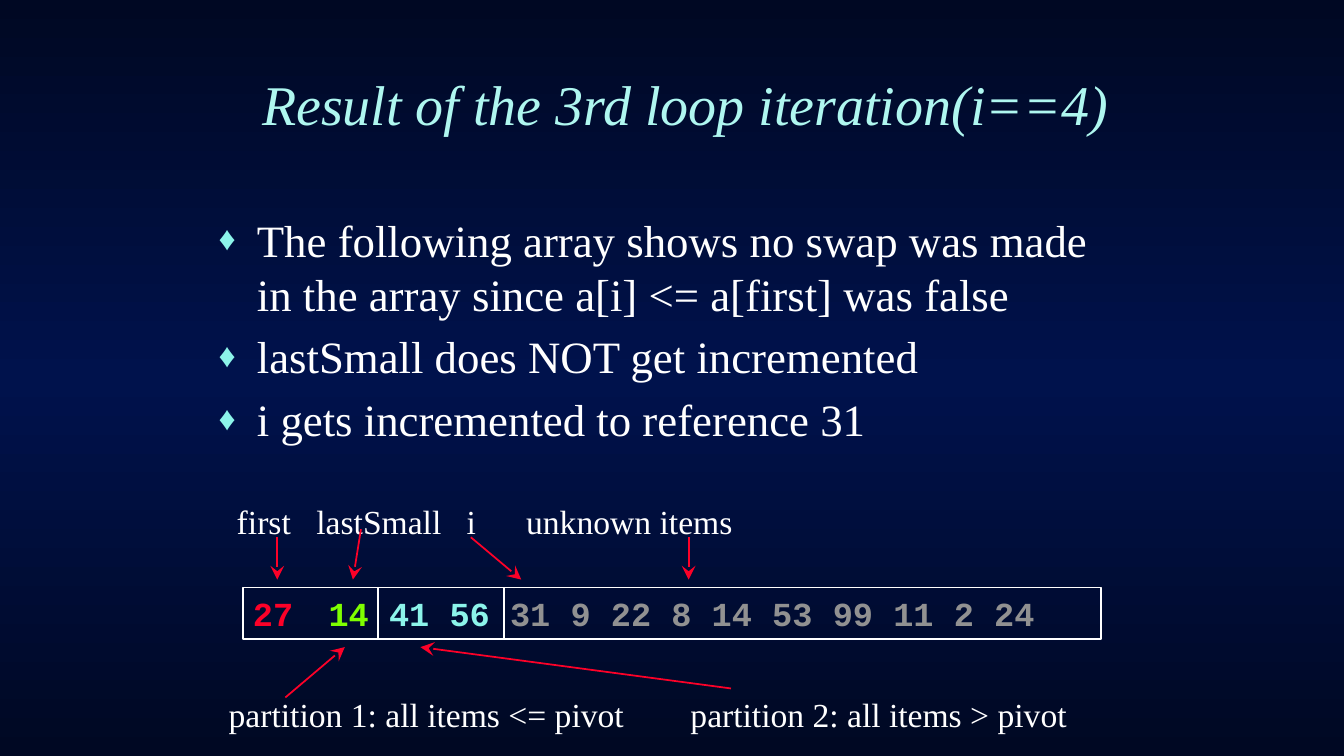
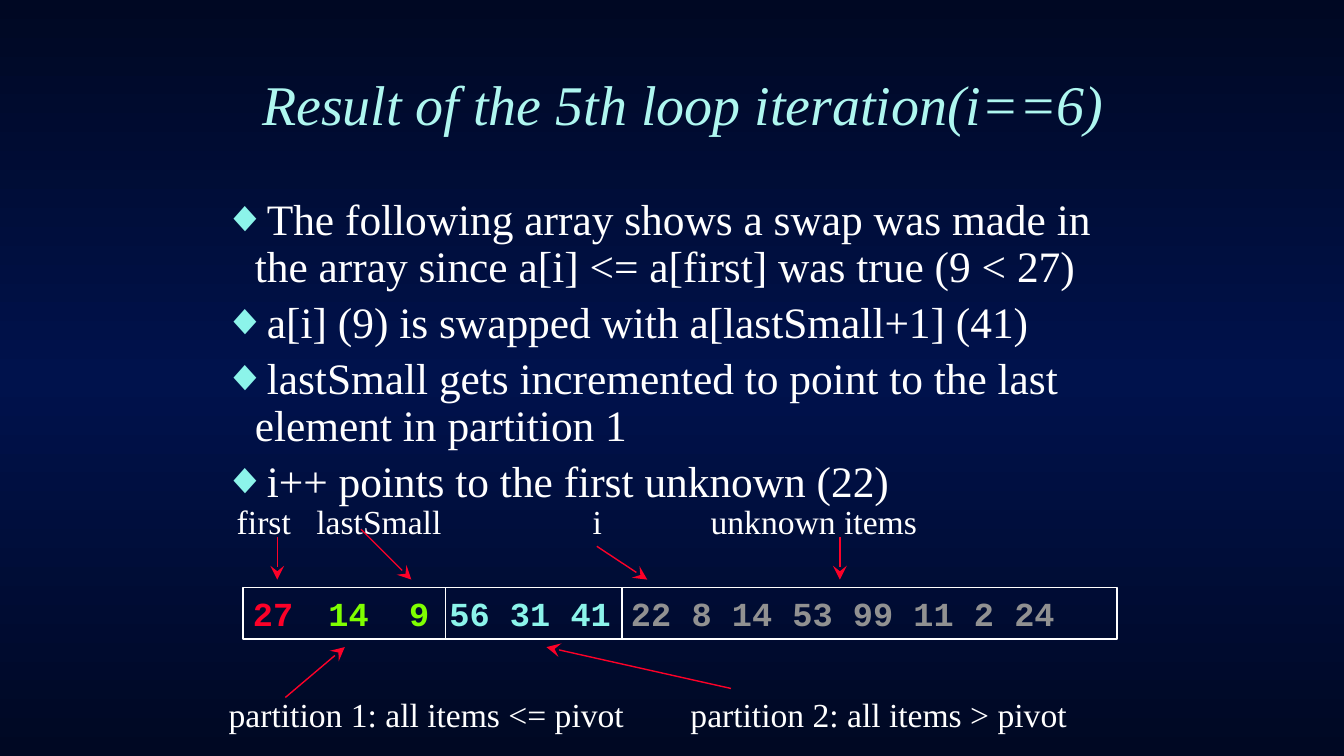
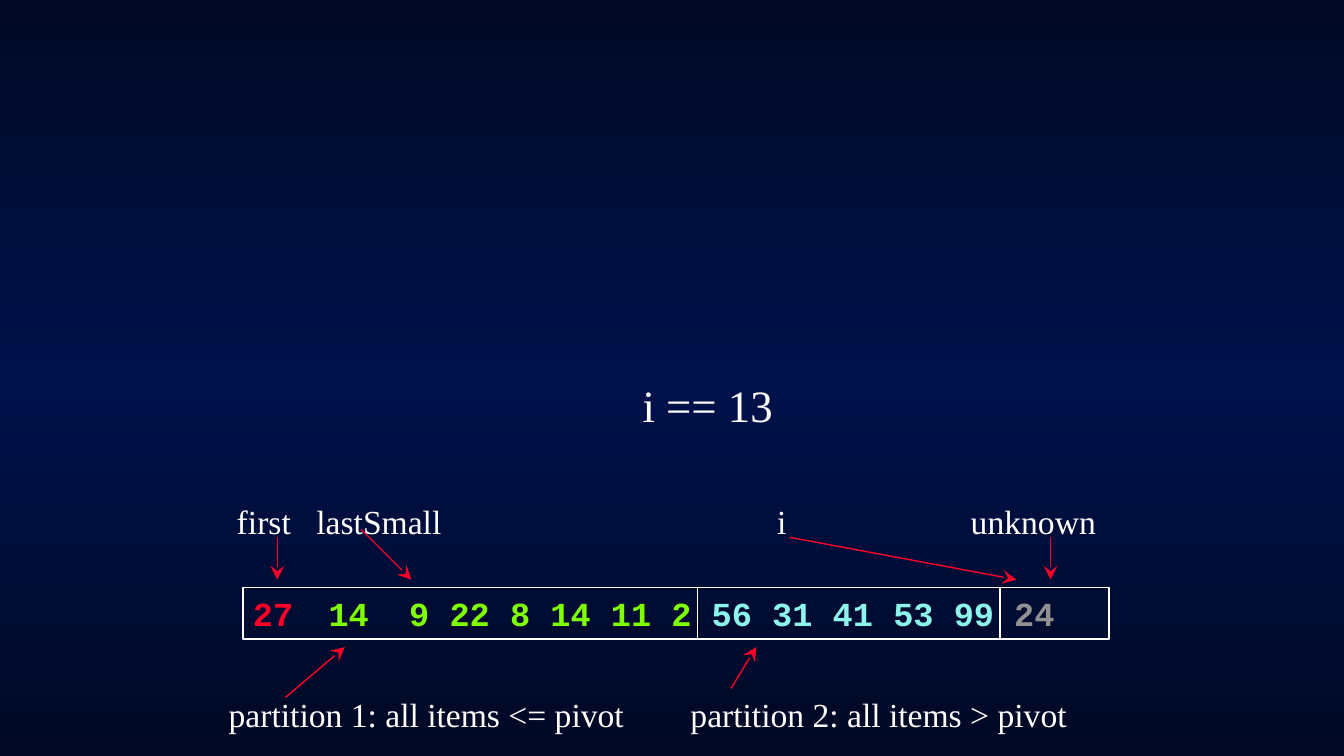
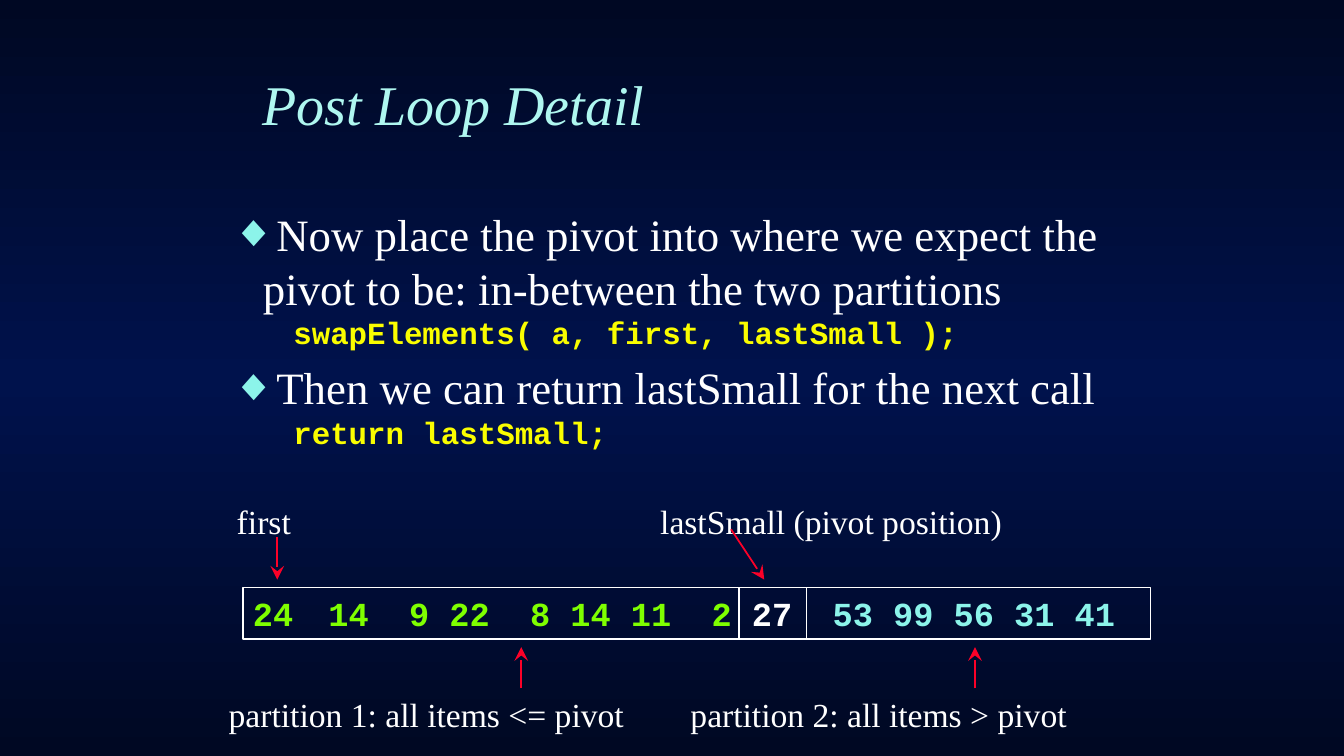
import copy

import pptx
import pptx.dml.color
import pptx.enum.shapes
import pptx.enum.text
import pptx.oxml
import pptx.oxml.ns
import pptx.util

Inches = pptx.util.Inches
Pt = pptx.util.Pt
qn = pptx.oxml.ns.qn

SERIF = "Times New Roman"
MONO = "Courier New"
WHITE = "FFFFFF"
RED = "FC0128"
GREEN = "7FFF00"
AQUA = "8CF4EA"
GRAY = "919191"
YELLOW = "FAFD00"
TITLE_COLOR = "AFF7F0"
NIGHT = "000823"
NAVY = "00124C"
ARRAY_TOP = 5.83
FIRST_ARROW = (2.75, 5.33, 2.75, 5.75)
SMALL_ARROW = (3.58, 5.25, 4.08, 5.75)
PARTITION_ARROW = (2.83, 6.92, 3.42, 6.42)
PARTITIONS = "partition 1: all items <= pivot\tpartition 2: all items > pivot"


def rgb(value):
    return pptx.dml.color.RGBColor.from_string(value)


def write(paragraph, runs, size, font, bold=False, stops=()):
    if stops:
        properties = paragraph._p.get_or_add_pPr()
        tabs = pptx.oxml.parse_xml(f'<a:tabLst {pptx.oxml.ns.nsdecls("a")}/>')
        for stop in stops:
            tab = tabs.makeelement(qn("a:tab"), {"pos": str(Inches(stop)), "algn": "l"})
            tabs.append(tab)
        properties.append(tabs)
    for text, value in runs:
        run = paragraph.add_run()
        run.text = text
        run.font.size = Pt(size)
        run.font.name = font
        run.font.bold = bold
        run.font.color.rgb = rgb(value)


slides = [
    {
        "title": "Result of the 3rd loop iteration(i==4)",
        "body": (2.07, 2.06, 9.27, 2.47),
        "bullet": ("♦", 75, 0.38, -0.38),
        "size": 32,
        "spacing": 1,
        "points": [
            "The following array shows no swap was made in the array since a[i] <= a[first] was false",
            "lastSmall does NOT get incremented",
            "i gets incremented to reference 31",
        ],
        "width": 8.51,
        "array": [("27\t", RED), ("14 ", GREEN), ("41 56 ", AQUA), ("31 9 22 8 14 53 99 11 2 24", GRAY)],
        "array_stops": [0.75],
        "labels": "first\tlastSmall\ti\tunknown items",
        "label_stops": [0.79, 2.28, 2.87],
        "arrow_width": 1.25,
        "arrows": [FIRST_ARROW, (3.58, 5.25, 3.5, 5.75), (4.67, 5.33, 5.17, 5.75),
                   (6.83, 5.33, 6.83, 5.75), PARTITION_ARROW, (7.25, 6.83, 4.17, 6.42)],
        "dividers": [3.75, 5],
    },
    {
        "title": "Result of the 5th loop iteration(i==6)",
        "body": (2, 1.92, 9.08, 3.17),
        "bullet": ("◆", 100, 0.43, -0.31),
        "size": 31,
        "spacing": 0.9,
        "points": [
            "The following array shows a swap was made in the array since a[i] <= a[first] was true (9 < 27)",
            "a[i] (9) is swapped with a[lastSmall+1] (41)",
            "lastSmall gets incremented to point to the last element in partition 1",
            "i++ points to the first unknown (22)",
        ],
        "width": 8.67,
        "array": [("27\t", RED), ("14\t9 ", GREEN), ("56 31 41 ", AQUA), ("22 8 14 53 99 11 2 24", GRAY)],
        "array_stops": [0.75, 1.55],
        "labels": "first\tlastSmall\ti\tunknown items",
        "label_stops": [0.79, 3.53, 4.7],
        "arrow_width": 1,
        "arrows": [FIRST_ARROW, SMALL_ARROW, (5.92, 5.42, 6.42, 5.75),
                   (8.33, 5.33, 8.33, 5.75), PARTITION_ARROW, (7.25, 6.83, 5.42, 6.42)],
        "dividers": [4.42, 6.17],
    },
    {
        "title": None,
        "body": (5.52, 3.7, 3, 0.6),
        "bullet": None,
        "size": 32,
        "spacing": 1,
        "points": ["i == 13"],
        "width": 8.59,
        "array": [("27\t", RED), ("14\t9 22 8 14 11 2 ", GREEN), ("56 31 41 53 99", AQUA), (" 24", GRAY)],
        "array_stops": [0.75, 1.55],
        "labels": "first\tlastSmall\ti\tunknown",
        "label_stops": [0.79, 5.36, 7.28],
        "arrow_width": 1,
        "arrows": [FIRST_ARROW, SMALL_ARROW, (7.83, 5.33, 10.08, 5.75),
                   (10.42, 5.33, 10.42, 5.75), PARTITION_ARROW, (7.25, 6.83, 7.5, 6.42)],
        "dividers": [6.92, 9.92],
    },
    {
        "title": "Post Loop Detail",
        "body": (2.08, 2, 9.17, 3.42),
        "bullet": ("◆", 100, 0.43, -0.31),
        "size": 32,
        "spacing": 1,
        "points": [
            "Now place the pivot into where we expect the pivot to be: in-between the two partitions",
            "    swapElements( a, first, lastSmall );",
            "Then we can return lastSmall for the next call",
            "    return lastSmall;",
        ],
        "width": 9,
        "array": [("24\t14\t9 22\t8 14 11\t2 ", GREEN), ("27\t", WHITE), ("53 99 56 31 41", AQUA)],
        "array_stops": [0.75, 1.55, 2.75, 4.55, 5.75],
        "labels": "first\tlastSmall (pivot position)",
        "label_stops": [4.2],
        "arrow_width": 1.25,
        "arrows": [FIRST_ARROW, (7.25, 5.25, 7.58, 5.75),
                   (5.17, 6.83, 5.17, 6.42), (9.67, 6.83, 9.67, 6.42)],
        "dividers": [7.33, 8],
    },
]

presentation = pptx.Presentation()
presentation.slide_width = Inches(13.33)
presentation.slide_height = Inches(7.5)

master = presentation.slide_master
background = master.background.fill
background.gradient()
background.gradient_angle = 270
stop_list = master.element.find(".//" + qn("a:gsLst"))
middle_stop = copy.deepcopy(stop_list[0])
middle_stop.set("pos", "50000")
stop_list.insert(1, middle_stop)
for stop, value in zip(background.gradient_stops, (NIGHT, NAVY, NIGHT)):
    stop.color.rgb = rgb(value)

for content in slides:
    slide = presentation.slides.add_slide(presentation.slide_layouts[5 if content["title"] else 6])

    if content["title"]:
        title = slide.shapes.title
        title.left, title.top = Inches(0.44), Inches(0.29)
        title.width, title.height = Inches(12.44), Inches(1.46)
        title.text_frame.auto_size = pptx.enum.text.MSO_AUTO_SIZE.NONE
        title.text_frame.vertical_anchor = pptx.enum.text.MSO_ANCHOR.MIDDLE
        paragraph = title.text_frame.paragraphs[0]
        paragraph.alignment = pptx.enum.text.PP_ALIGN.LEFT
        paragraph._p.get_or_add_pPr().set("marL", str(Inches(2.06)))
        write(paragraph, [(content["title"], TITLE_COLOR)], 40, SERIF)
        paragraph.runs[0].font.italic = True

    body = slide.shapes.add_textbox(*[Inches(value) for value in content["body"]])
    body.text_frame.word_wrap = True
    for index, point in enumerate(content["points"]):
        paragraph = body.text_frame.paragraphs[0] if index == 0 else body.text_frame.add_paragraph()
        if point.startswith(" "):
            write(paragraph, [(point, YELLOW)], 22, MONO, True)
            continue
        paragraph.line_spacing = content["spacing"]
        if index:
            paragraph.space_before = Pt(6.5)
        if content["bullet"]:
            character, percent, margin, indent = content["bullet"]
            properties = paragraph._p.get_or_add_pPr()
            properties.set("marL", str(Inches(margin)))
            properties.set("indent", str(Inches(indent)))
            for markup in (
                f'<a:buClr {{}}><a:srgbClr val="{AQUA}"/></a:buClr>',
                f'<a:buSzPct {{}} val="{percent * 1000}"/>',
                f'<a:buFont {{}} typeface="{SERIF}"/>',
                f'<a:buChar {{}} char="{character}"/>',
            ):
                properties.append(pptx.oxml.parse_xml(markup.format(pptx.oxml.ns.nsdecls("a"))))
        else:
            paragraph.alignment = pptx.enum.text.PP_ALIGN.CENTER
        write(paragraph, [(point, WHITE)], content["size"], SERIF)

    array = slide.shapes.add_shape(
        pptx.enum.shapes.MSO_SHAPE.RECTANGLE,
        Inches(2.41), Inches(ARRAY_TOP), Inches(content["width"]), Inches(0.51))
    array.shadow.inherit = False
    array.fill.background()
    array.line.color.rgb = rgb(WHITE)
    array.line.width = Pt(1)
    array.text_frame.word_wrap = True
    array.text_frame.vertical_anchor = pptx.enum.text.MSO_ANCHOR.TOP
    paragraph = array.text_frame.paragraphs[0]
    paragraph.alignment = pptx.enum.text.PP_ALIGN.LEFT
    write(paragraph, content["array"], 24, MONO, True, content["array_stops"])

    for left, top, width, text, stops in (
        (2.25, 4.92, 9.33, content["labels"], content["label_stops"]),
        (2.17, 6.83, 8.67, PARTITIONS, [4.58]),
    ):
        labels = slide.shapes.add_textbox(Inches(left), Inches(top), Inches(width), Inches(0.51))
        labels.text_frame.word_wrap = True
        write(labels.text_frame.paragraphs[0], [(text, WHITE)], 24, SERIF, stops=stops)

    dividers = [(x, ARRAY_TOP, x, ARRAY_TOP + 0.5) for x in content["dividers"]]
    for ends, value, width, pointed in (
        [(ends, WHITE, 1, False) for ends in dividers]
        + [(ends, RED, content["arrow_width"], True) for ends in content["arrows"]]
    ):
        connector = slide.shapes.add_connector(
            pptx.enum.shapes.MSO_CONNECTOR.STRAIGHT, *[Inches(end) for end in ends])
        connector.line.color.rgb = rgb(value)
        connector.line.width = Pt(width)
        if pointed:
            line = connector.line._get_or_add_ln()
            line.append(line.makeelement(qn("a:tailEnd"), {"type": "stealth", "w": "lg", "len": "lg"}))
        properties = connector._element.spPr
        properties.append(properties.makeelement(qn("a:effectLst"), {}))

presentation.save("out.pptx")
